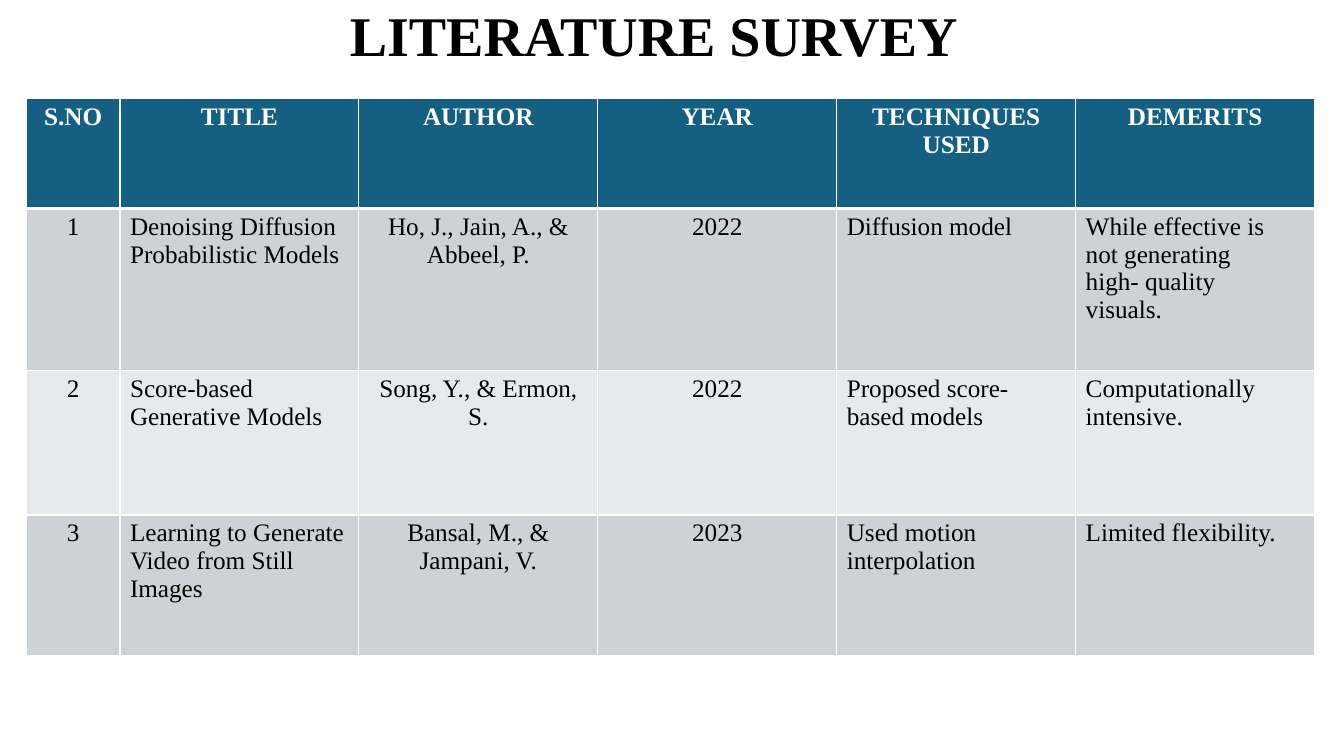
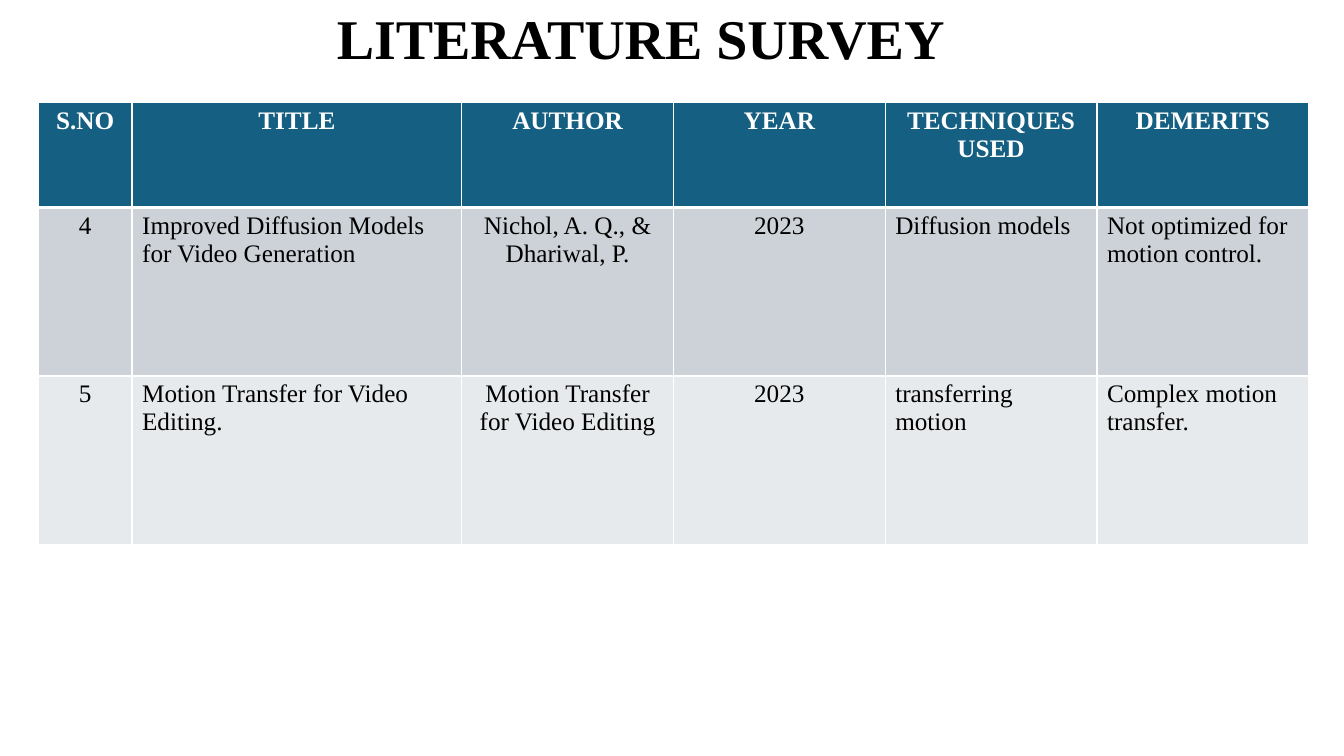
from lxml.etree import SubElement
from pptx import Presentation
from pptx.dml.color import RGBColor
from pptx.enum.text import MSO_ANCHOR, MSO_AUTO_SIZE, PP_ALIGN
from pptx.oxml.ns import qn
from pptx.util import Inches, Pt

FONT = "Times New Roman"
BLACK = RGBColor(0, 0, 0)
WHITE = RGBColor(255, 255, 255)
TEAL = RGBColor(0x15, 0x5F, 0x82)
GREY = RGBColor(0xCC, 0xD2, 0xD7)
PALE = RGBColor(0xE7, 0xEA, 0xEC)

TITLE = "LITERATURE SURVEY"
HEAD = ("S.NO", "TITLE", "AUTHOR", "YEAR", "TECHNIQUES USED", "DEMERITS")
LEFT_COLS = (1, 4, 5)

# "ends" holds the right inset of each left-aligned column.
SLIDES = [
    {
        "title": (3.47, 0),
        "table": (0.26, 0.98),
        "cols": [0.93] + [2.37] * 5,
        "rows": [1.09, 1.61, 1.43, 1.39],
        "ends": (0.05, 0.2, 0.35),
        "body": [
            ("1", "Denoising Diffusion Probabilistic Models",
             "Ho, J., Jain, A., & Abbeel, P.", "2022", "Diffusion model",
             "While effective is not generating high- quality visuals."),
            ("2", "Score-based Generative Models",
             "Song, Y., & Ermon, S.", "2022", "Proposed score-based models",
             "Computationally intensive."),
            ("3", "Learning to Generate Video from Still Images",
             "Bansal, M., &\nJampani, V.", "2023",
             "Used motion\ninterpolation", "Limited flexibility."),
        ],
    },
    {
        "title": (3.34, 0.02),
        "table": (0.38, 1.02),
        "cols": [0.93, 3.27] + [2.1] * 4,
        "rows": [1.04, 1.67, 1.67],
        "ends": (0.2, 0.2, 0.1),
        "body": [
            ("4", "Improved Diffusion Models for Video Generation",
             "Nichol, A. Q., & Dhariwal, P.", "2023", "Diffusion models",
             "Not optimized for motion control."),
            ("5", "Motion Transfer for Video\nEditing.",
             "Motion Transfer\nfor Video Editing", "2023",
             "transferring\nmotion", "Complex motion\ntransfer."),
        ],
    },
]


def style(par, size, color, bold):
    for run in par.runs:
        font = run.font
        font.name, font.size, font.bold = FONT, Pt(size), bold
        font.color.rgb = color


def add_title(slide, left, top):
    shape = slide.shapes.title
    shape.left, shape.top = Inches(left), Inches(top)
    shape.width, shape.height = Inches(6.67), Inches(0.69)
    frame = shape.text_frame
    frame.text = TITLE
    frame.auto_size = MSO_AUTO_SIZE.NONE
    frame.vertical_anchor = MSO_ANCHOR.TOP
    frame.margin_left = frame.margin_right = frame.margin_bottom = 0
    frame.margin_top = Inches(0.01)
    par = frame.paragraphs[0]
    par.alignment = PP_ALIGN.LEFT
    par.space_before = Pt(1)
    style(par, 40, BLACK, True)


def rule(cell, row):
    """Draw white cell borders, thick between header and body."""
    props = cell._tc.get_or_add_tcPr()
    thick = {0: "lnB", 1: "lnT"}.get(row)
    for side in ("lnL", "lnR", "lnT", "lnB"):
        width = Pt(3 if side == thick else 1)
        line = SubElement(props, qn(f"a:{side}"), w=str(width))
        fill = SubElement(line, qn("a:solidFill"))
        SubElement(fill, qn("a:srgbClr"), val=str(WHITE))


def fill_cell(cell, text, row, end):
    """Write one cell; end is its right inset, or None to centre it."""
    rule(cell, row)
    cell.fill.solid()
    cell.fill.fore_color.rgb = TEAL if row == 0 else GREY if row % 2 else PALE
    center = end is None
    cell.margin_left = Inches(0.15 if center else 0.1)
    cell.margin_right = Inches(0.15 if center else end)
    cell.margin_top, cell.margin_bottom = Inches(0.04), 0
    cell.vertical_anchor = MSO_ANCHOR.TOP
    cell.text_frame.text = text
    pars = cell.text_frame.paragraphs
    pars[0].space_before = Pt(3)
    for par in pars:
        par.alignment = PP_ALIGN.CENTER if center else PP_ALIGN.LEFT
        style(par, 18, BLACK if row else WHITE, row == 0)


def add_grid(slide, data):
    cols, rows = data["cols"], data["rows"]
    left, top = data["table"]
    table = slide.shapes.add_table(
        len(rows), len(cols), Inches(left), Inches(top),
        Inches(sum(cols)), Inches(sum(rows))).table
    for col, width in zip(table.columns, cols):
        col.width = Inches(width)
    for row, height in zip(table.rows, rows):
        row.height = Inches(height)
    ends = dict(zip(LEFT_COLS, data["ends"]))
    for r, texts in enumerate([HEAD] + data["body"]):
        for c, text in enumerate(texts):
            fill_cell(table.cell(r, c), text, r, ends.get(c) if r else None)


def main():
    deck = Presentation()
    deck.slide_width, deck.slide_height = Inches(13.33), Inches(7.5)
    for data in SLIDES:
        slide = deck.slides.add_slide(deck.slide_layouts[5])
        add_title(slide, *data["title"])
        add_grid(slide, data)
    deck.save("out.pptx")


if __name__ == "__main__":
    main()
